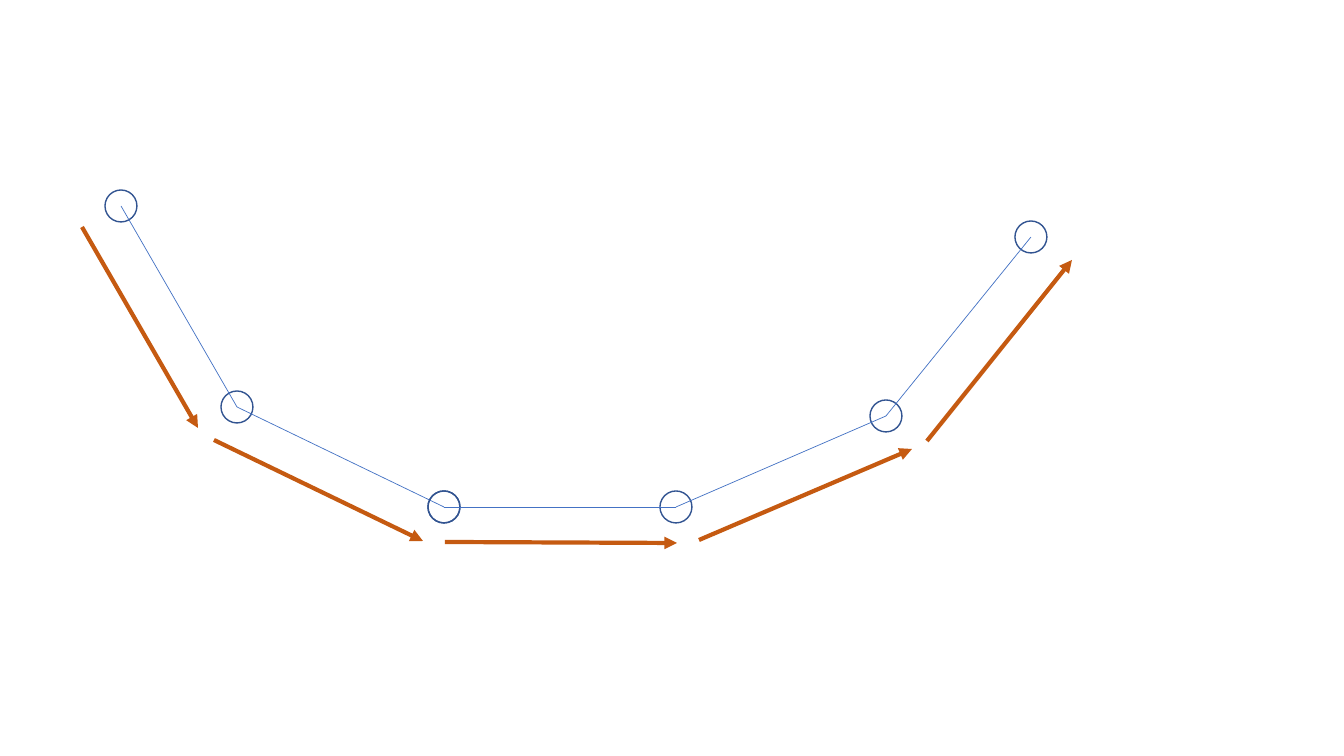
from itertools import pairwise

from pptx import Presentation
from pptx.dml.color import RGBColor
from pptx.enum.shapes import MSO_CONNECTOR, MSO_SHAPE
from pptx.oxml.ns import qn
from pptx.util import Pt
from lxml.etree import SubElement

JOINT_BLUE = RGBColor(0x32, 0x54, 0x91)
LINK_BLUE = RGBColor(0x44, 0x72, 0xC4)
ARROW_ORANGE = RGBColor(0xC5, 0x5A, 0x11)

SLIDE_WIDTH, SLIDE_HEIGHT = 1344, 756
JOINT_SIZE = 32
STRANDS = [
    [(121, 206), (237, 407), (444, 507)],
    [(444, 507), (676, 507), (886, 416), (1031, 237)],
]
ARROWS = [
    ((82, 227), (198, 428)),
    ((214, 440), (423, 541)),
    ((445, 542), (677, 543)),
    ((699, 540), (912, 449)),
    ((927, 441), (1072, 260)),
]


def px(length):
    return round(length * 914400 / 100.8)


def add_joint(shapes, center):
    left, top = (px(value - JOINT_SIZE / 2) for value in center)
    joint = shapes.add_shape(MSO_SHAPE.OVAL, left, top, px(JOINT_SIZE), px(JOINT_SIZE))
    joint.shadow.inherit = False
    joint.fill.background()
    joint.line.color.rgb = JOINT_BLUE
    joint.line.width = Pt(1)


def add_line(shapes, start, end, color, width):
    line = shapes.add_connector(MSO_CONNECTOR.STRAIGHT, *map(px, start + end))
    line.line.color.rgb = color
    line.line.width = Pt(width)
    SubElement(line._element.spPr, qn("a:effectLst"))
    return line


def main():
    presentation = Presentation()
    presentation.slide_width = px(SLIDE_WIDTH)
    presentation.slide_height = px(SLIDE_HEIGHT)
    shapes = presentation.slides.add_slide(presentation.slide_layouts[6]).shapes

    for strand in STRANDS:
        for center in strand:
            add_joint(shapes, center)
        for start, end in pairwise(strand):
            add_line(shapes, start, end, LINK_BLUE, 0.5)

    for start, end in ARROWS:
        arrow = add_line(shapes, start, end, ARROW_ORANGE, 3)
        SubElement(arrow.line._get_or_add_ln(), qn("a:tailEnd"), type="triangle")

    presentation.save("out.pptx")


if __name__ == "__main__":
    main()
